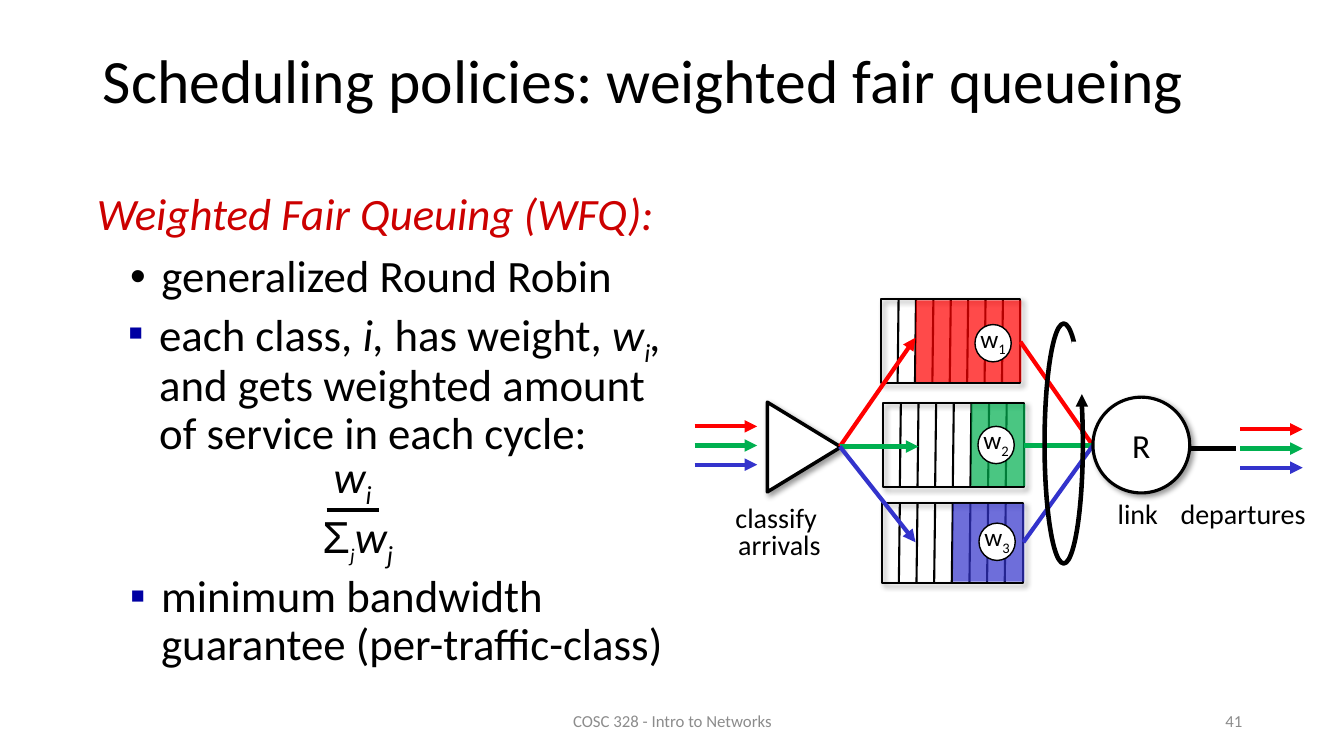
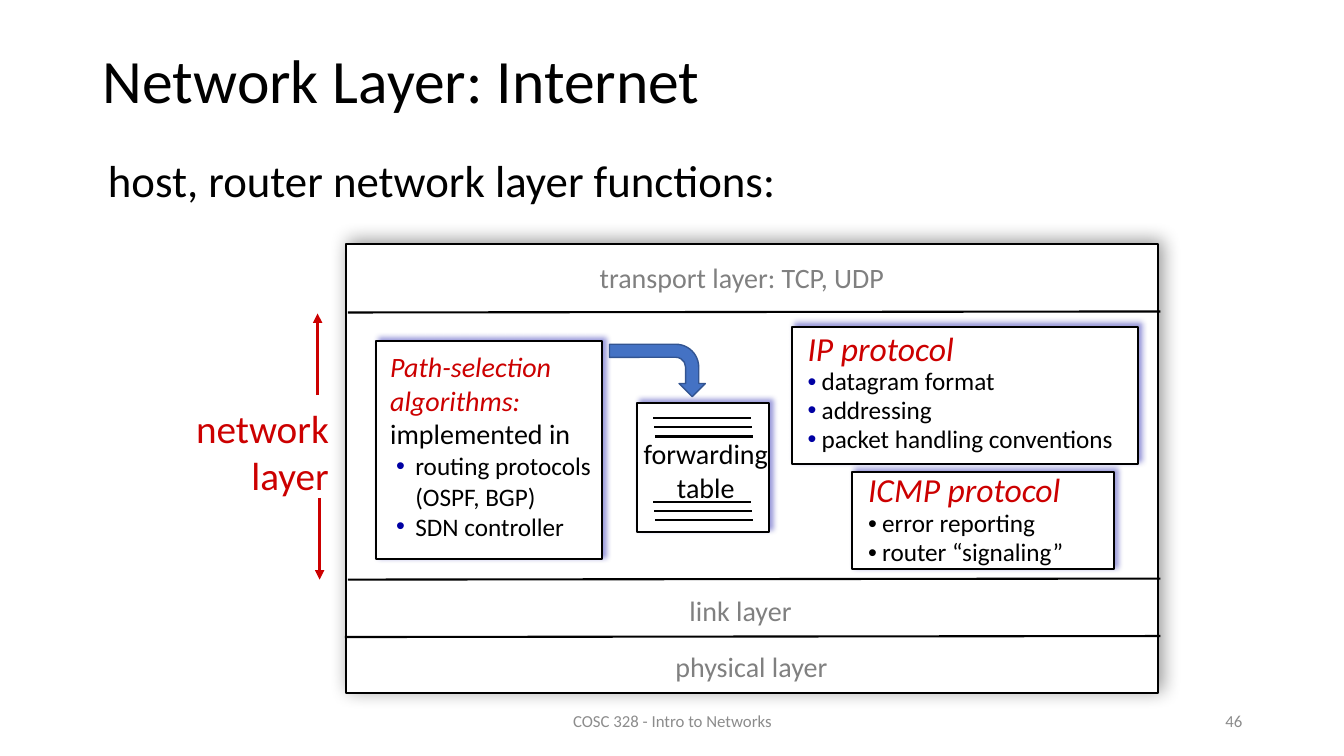
from collections import namedtuple

from lxml.etree import SubElement
from pptx import Presentation
from pptx.dml.color import RGBColor
from pptx.enum.shapes import MSO_CONNECTOR, MSO_SHAPE as SHAPE
from pptx.enum.text import MSO_ANCHOR as ANCHOR, MSO_AUTO_SIZE as FIT, PP_ALIGN as ALIGN
from pptx.oxml.ns import qn
from pptx.util import Pt

PX = 9144  # 100 px to the inch
FONT = "Calibri"

BLACK = RGBColor(0x00, 0x00, 0x00)
WHITE = RGBColor(0xFF, 0xFF, 0xFF)
RED = RGBColor(0xFF, 0x00, 0x00)
GREEN = RGBColor(0x00, 0xB0, 0x50)
BLUE = RGBColor(0x33, 0x33, 0xCC)
ACCENT = RGBColor(0xCC, 0x00, 0x00)
NAVY = RGBColor(0x00, 0x00, 0xA3)
GRAY = RGBColor(0x80, 0x80, 0x80)
FOOTER_GRAY = RGBColor(0x8C, 0x8C, 0x8C)
ARROW_FILL = RGBColor(0x44, 0x72, 0xC4)
ARROW_EDGE = RGBColor(0x32, 0x54, 0x91)

Span = namedtuple("Span", "text size color italic sub font",
                  defaults=(BLACK, False, False, FONT))
Para = namedtuple("Para", "spans align spacing before margin hang bullet bullet_color",
                  defaults=(ALIGN.LEFT, 1.0, 0, 0, 0, None, BLACK))
Shadow = namedtuple("Shadow", "color blur distance angle")
Queue = namedtuple("Queue", "left top width height empty color badge entry exit_y")

SOFT = Shadow(BLACK, 4, 3, 45)
FRAME_GLOW = Shadow(BLACK, 13, 3, 315)
PANEL_GLOW = Shadow(NAVY, 4, 3, 315)


def topic(*spans, bullet="▪", color=NAVY, before=0):
    return Para(spans, spacing=0.9, before=before, margin=64, hang=31,
                bullet=bullet, bullet_color=color)


def detail(text, color=NAVY, spacing=0.95, margin=14, hang=14):
    return Para([Span(text, 18)], spacing=spacing, margin=margin, hang=hang,
                bullet="•", bullet_color=color)


# Weighted fair queueing
WFQ_TITLE = "Scheduling policies: weighted fair queueing"
WFQ_INTRO = [
    Para([Span("Weighted Fair Queuing (WFQ):", 32, ACCENT, True)],
         spacing=0.9, margin=25, hang=25),
    topic(Span("generalized Round Robin", 32), bullet="•", color=BLACK, before=10),
]
WFQ_WEIGHT = [topic(
    Span("each class, ", 32), Span("i, ", 32, italic=True), Span("has weight, ", 32),
    Span("w", 32, italic=True), Span("i", 32, italic=True, sub=True),
    Span(", ", 32, italic=True),
    Span("and gets weighted amount of service in each cycle:", 32))]
WFQ_GUARANTEE = [topic(Span("minimum bandwidth guarantee (per-traffic-class)", 32))]
NUMERATOR = [Para([Span("w", 32, italic=True), Span("i", 32, italic=True, sub=True)])]
DENOMINATOR = [Para([Span("Σ", 32, font="Arial"), Span("j", 24, italic=True, sub=True),
                     Span("w", 32, italic=True), Span("j", 32, italic=True, sub=True)])]
DIAGRAM_LABELS = [
    ((719, 498, 108, 65), ["classify ", "arrivals"]),
    ((1160, 494, 146, 38), ["departures"]),
    ((1098, 494, 61, 38), ["link"]),
]
SLOTS = 8
QUEUES = [
    Queue(874, 297, 138, 83, 2, RED, (967, 322), (908, 335), 339),
    Queue(876, 400, 140, 83, 5, GREEN, (970, 423), (911, 443), 442),
    Queue(875, 499, 140, 79, 4, BLUE, (971, 519), (908, 538), 538),
]
CLASSIFIER_TIP = (833, 443)
LINK_ENTRY = (1084, 442)
FLOWS = [(689, 423), (1230, 426)]
FLOW_LENGTH, FLOW_STEP = 62, 19

# Network layer
LAYER_TITLE = "Network Layer: Internet"
LAYER_INTRO = [Para([Span("host, router network layer functions:", 32)],
                    spacing=0.85, margin=38, hang=38)]
STACK_RULES = [(345, 310), (345, 575), (342, 632)]
STACK_RIGHT = 1151
STACK_LABELS = [
    ((585, 254, 310, 44), "transport layer: TCP, UDP"),
    ((674, 584, 123, 44), "link layer"),
    ((660, 639, 174, 44), "physical layer"),
]
SIDE_LABEL = [Para([Span(word, 28, ACCENT)], ALIGN.RIGHT) for word in ("network", "layer")]
SIDE_ARROWS = [((315, 392), (315, 311)), ((317, 494), (317, 575))]
# Each panel: position, text margins (left, top, right, bottom), paragraphs
PANELS = [
    ((786, 324, 343, 136), (15, 1, 0, 0), [
        Para([Span("IP protocol", 24, ACCENT, True)]),
        detail("datagram format"),
        detail("addressing"),
        detail("packet handling conventions")]),
    ((845, 468, 260, 97), (16, 0, 0, 0), [
        Para([Span("ICMP protocol", 24, ACCENT, True)], spacing=0.95),
        detail("error reporting", BLACK),
        detail("router “signaling”", BLACK)]),
    ((373, 338, 224, 217), (14, 9, 0, 0), [
        Para([Span("Path-selection algorithms: ", 20, ACCENT, True),
              Span("implemented in", 20)]),
        detail("routing protocols (OSPF, BGP)", spacing=1.0, margin=25, hang=19),
        detail("SDN controller", spacing=1.0, margin=25, hang=19)]),
]
TABLE_BOX = (632, 400, 131, 128)
TABLE_TEXT = [Para([Span(word, 20)], ALIGN.CENTER) for word in ("forwarding", "table")]
TABLE_RULE_TOPS, TABLE_RULE_STEP = (415, 498), 9


def px(*values):
    return [round(value * PX) for value in values]


def add_bullet(para, item):
    props = para._p.get_or_add_pPr()
    props.set("marL", str(item.margin * PX))
    props.set("indent", str(-item.hang * PX))
    if item.bullet is None:
        SubElement(props, qn("a:buNone"))
        return
    color = SubElement(props, qn("a:buClr"))
    SubElement(color, qn("a:srgbClr"), val=str(item.bullet_color))
    SubElement(props, qn("a:buFont"), typeface="Arial")
    SubElement(props, qn("a:buChar"), char=item.bullet)


def write(shape, paras, wrap=True, anchor=ANCHOR.TOP, margins=(10, 5, 10, 5), fit=FIT.NONE):
    frame = shape.text_frame
    frame.word_wrap, frame.auto_size, frame.vertical_anchor = wrap, fit, anchor
    (frame.margin_left, frame.margin_top,
     frame.margin_right, frame.margin_bottom) = px(*margins)
    for index, item in enumerate(paras):
        para = frame.add_paragraph() if index else frame.paragraphs[0]
        add_bullet(para, item)
        para.alignment, para.line_spacing = item.align, item.spacing
        para.space_before = Pt(item.before)
        for span in item.spans:
            run = para.add_run()
            run.text = span.text
            run.font.name, run.font.size = span.font, Pt(span.size)
            run.font.italic = span.italic
            run.font.color.rgb = span.color
            if span.sub:
                run._r.get_or_add_rPr().set("baseline", "-25000")


def add_text(page, at, paras, **options):
    write(page.shapes.add_textbox(*px(*at)), paras, **options)


def add_label(page, at, paras):
    """Add a one-line-per-paragraph text box that hugs its text."""
    add_text(page, at, paras, wrap=False, fit=FIT.SHAPE_TO_FIT_TEXT)


def add_shape(page, kind, at, fill=None, line=None, width=1.5, shadow=None,
              rotation=0, alpha=None):
    shape = page.shapes.add_shape(kind, *px(*at))
    shape.rotation = rotation
    shape.shadow.inherit = False
    props = shape._element.spPr
    if fill is None:
        shape.fill.background()
    else:
        shape.fill.solid()
        shape.fill.fore_color.rgb = fill
    if alpha:
        color = props.find(qn("a:solidFill")).find(qn("a:srgbClr"))
        SubElement(color, qn("a:alpha"), val=str(alpha * 1000))
    if line is None:
        shape.line.fill.background()
    else:
        shape.line.color.rgb = line
        shape.line.width = Pt(width)
    if shadow:
        outer = SubElement(props.find(qn("a:effectLst")), qn("a:outerShdw"),
                           blurRad=str(Pt(shadow.blur)), dist=str(Pt(shadow.distance)),
                           dir=str(shadow.angle * 60000), algn="ctr", rotWithShape="0")
        color = SubElement(outer, qn("a:srgbClr"), val=str(shadow.color))
        SubElement(color, qn("a:alpha"), val="40000")
    return shape


def add_line(page, start, end, color=BLACK, width=1.5, arrow=False):
    line = page.shapes.add_connector(MSO_CONNECTOR.STRAIGHT, *px(*start, *end))
    line.line.color.rgb = color
    line.line.width = Pt(width)
    if arrow:
        SubElement(line.line._get_or_add_ln(), qn("a:tailEnd"), type="triangle")
    SubElement(line._element.spPr, qn("a:effectLst"))


def add_page(deck, title, number, body, body_at):
    page = deck.slides.add_slide(deck.slide_layouts[1])
    heading, content = page.placeholders
    heading.left, heading.top, heading.width, heading.height = px(92, 34, 1150, 98)
    write(heading, [Para([Span(title, 44)], spacing=0.9)], anchor=ANCHOR.MIDDLE)
    content.left, content.top, content.width, content.height = px(*body_at)
    write(content, body)
    for at, text, align in [((442, 695, 450, 40), "COSC 328 - Intro to Networks", ALIGN.CENTER),
                            ((942, 695, 300, 40), str(number), ALIGN.RIGHT)]:
        add_text(page, at, [Para([Span(text, 12, FOOTER_GRAY)], align)], anchor=ANCHOR.MIDDLE)
    return page


def add_queue(page, queue):
    left, top, width, height = queue[:4]
    slot = width / SLOTS
    add_shape(page, SHAPE.RECTANGLE, queue[:4], line=BLACK, shadow=SOFT)
    for index in range(1, SLOTS):
        x = left + index * slot
        add_line(page, (x, top), (x - 1, top + height))
    used = queue.empty * slot
    add_shape(page, SHAPE.RECTANGLE, (left + used, top + 1, width - used + 1, height - 2),
              queue.color, alpha=71)


def build_wfq(deck):
    page = add_page(deck, WFQ_TITLE, 41, WFQ_INTRO, (86, 185, 608, 122))
    add_text(page, (84, 300, 608, 155), WFQ_WEIGHT)
    add_text(page, (86, 564, 608, 115), WFQ_GUARANTEE)
    add_label(page, (321, 440, 59, 64), NUMERATOR)
    add_label(page, (310, 500, 93, 64), DENOMINATOR)
    add_line(page, (324, 506), (376, 506), width=3)

    add_line(page, (1176, 445), (1226, 445), width=3)
    for queue in QUEUES:
        add_queue(page, queue)
    add_shape(page, SHAPE.ISOSCELES_TRIANGLE, (753, 407, 89, 73), WHITE, BLACK, 2.5,
              SOFT, rotation=90)
    for row, queue in enumerate(QUEUES):
        for left, top in FLOWS:
            y = top + row * FLOW_STEP
            add_line(page, (left, y), (left + FLOW_LENGTH, y), queue.color, 3, arrow=True)
        add_line(page, CLASSIFIER_TIP, queue.entry, queue.color, 3, arrow=True)
        add_line(page, (queue.left + queue.width, queue.exit_y), LINK_ENTRY, queue.color, 3)
    for at, lines in DIAGRAM_LABELS:
        add_label(page, at, [Para([Span(text, 20)], ALIGN.CENTER, 0.8) for text in lines])

    router = add_shape(page, SHAPE.OVAL, (1084, 394, 96, 95), WHITE, BLACK, 2.25, SOFT)
    write(router, [Para([Span("R", 24)], ALIGN.CENTER)], wrap=False, anchor=ANCHOR.MIDDLE)
    add_shape(page, SHAPE.OVAL, (1036, 321, 38, 238), line=BLACK, width=3.25)
    add_shape(page, SHAPE.RECTANGLE, (1063, 339, 21, 64), WHITE)
    add_line(page, (1073, 419), (1073, 391), width=3, arrow=True)
    for number, queue in enumerate(QUEUES, 1):
        badge = add_shape(page, SHAPE.OVAL, (*queue.badge, 36, 37), WHITE, BLACK, 1)
        weight = [Span("w", 18), Span(str(number), 18, sub=True)]
        write(badge, [Para(weight, ALIGN.CENTER)], wrap=False, anchor=ANCHOR.MIDDLE,
              margins=(0, 0, 0, 6))


def build_network_layer(deck):
    page = add_page(deck, LAYER_TITLE, 46, LAYER_INTRO, (97, 155, 824, 48))
    add_shape(page, SHAPE.RECTANGLE, (343, 242, 806, 446), WHITE, BLACK, shadow=FRAME_GLOW)
    for left, y in STACK_RULES:
        add_line(page, (left, y), (STACK_RIGHT, y - 1))
    for at, text in STACK_LABELS:
        add_label(page, at, [Para([Span(text, 20, GRAY)])])
    add_label(page, (182, 396, 154, 104), SIDE_LABEL)
    for start, end in SIDE_ARROWS:
        add_line(page, start, end, ACCENT, 2.25, arrow=True)
    for at, margins, paras in PANELS:
        panel = add_shape(page, SHAPE.RECTANGLE, at, WHITE, BLACK, shadow=PANEL_GLOW)
        write(panel, paras, margins=margins)

    table = add_shape(page, SHAPE.RECTANGLE, TABLE_BOX, WHITE, BLACK, shadow=PANEL_GLOW)
    write(table, TABLE_TEXT, wrap=False, anchor=ANCHOR.MIDDLE, margins=(5, 5, 0, 0))
    for top in TABLE_RULE_TOPS:
        for index in range(3):
            y = top + index * TABLE_RULE_STEP
            add_line(page, (648 + index, y), (745 + index, y))
    add_shape(page, SHAPE.BENT_ARROW, (626, 320, 52, 95), ARROW_FILL, ARROW_EDGE, 1,
              rotation=90)


def main():
    deck = Presentation()
    deck.slide_width, deck.slide_height = px(1333, 750)
    build_wfq(deck)
    build_network_layer(deck)
    deck.save("out.pptx")


if __name__ == "__main__":
    main()
